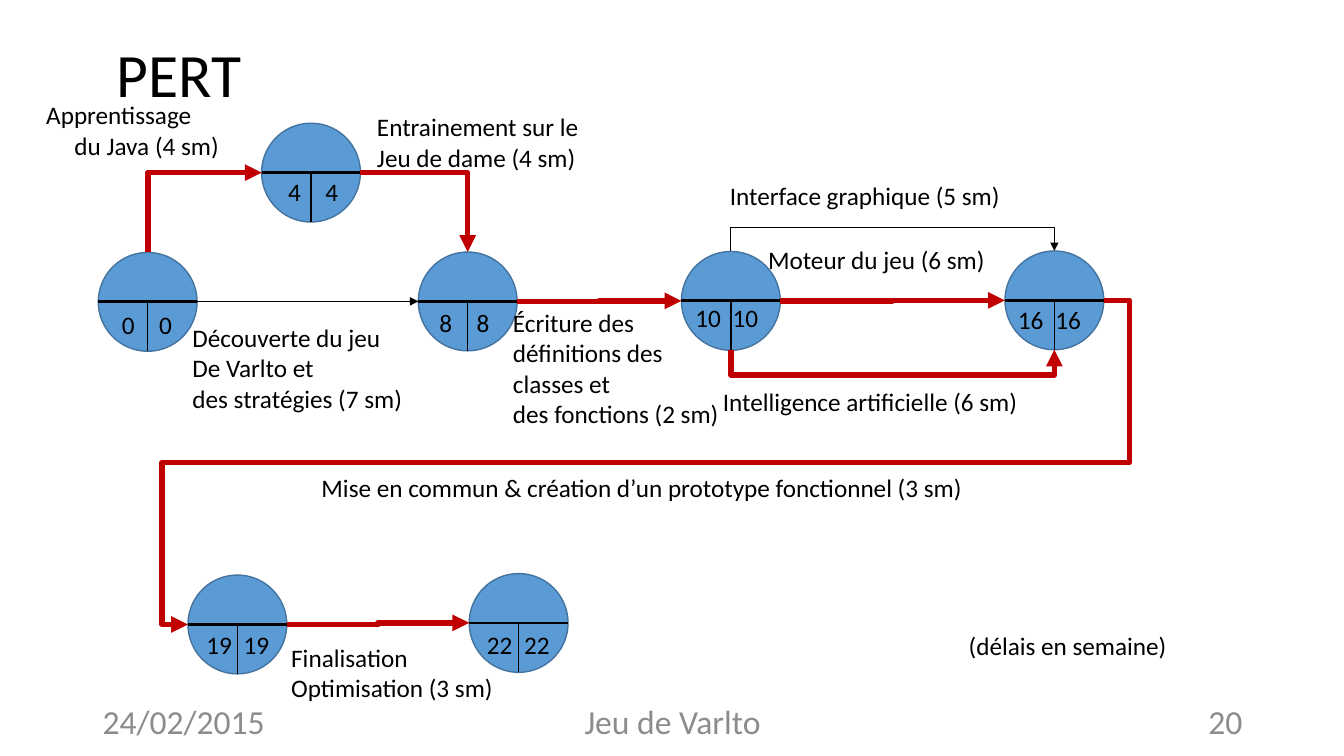
from dataclasses import dataclass
from enum import IntEnum

from lxml import etree
from pptx import Presentation
from pptx import util as u
from pptx.dml.color import RGBColor
from pptx.enum import shapes, text
from pptx.oxml import ns

WIDTH, HEIGHT = u.Inches(13.33), u.Inches(7.5)
FONT = "Calibri"
BLACK, GREY, RED = "000000", "8C8C8C", "C00000"
BLUE, BLUE_EDGE = "5B9BD5", "43739E"
DIAMETER = u.Inches(0.98)
DETOUR = u.Inches(0.25)
DATE_GAP = u.Inches(0.37)
LEFT, CENTER, RIGHT = text.PP_ALIGN.LEFT, text.PP_ALIGN.CENTER, text.PP_ALIGN.RIGHT


class Side(IntEnum):
    """Connection sites of an ellipse."""
    TOP = 0
    LEFT = 2
    BOTTOM = 4
    RIGHT = 6


@dataclass
class Step:
    """Circle centre and offset of its dates, in percent of the slide."""
    week: str
    x: float
    y: float
    dates_dx: float
    dates_dy: float


@dataclass
class Link:
    """Route between two steps; detour is 1 to pass right or below, -1 above."""
    start: str
    start_side: Side
    end: str
    end_side: Side
    color: str = RED
    weight: float = 4
    detour: int = 0


@dataclass
class Label:
    """Text box, in percent of the slide."""
    lines: list[str]
    x: float
    y: float
    width: float
    height: float = 5.33
    size: float = 18
    color: str = BLACK
    align: text.PP_ALIGN = LEFT
    anchor: text.MSO_ANCHOR = text.MSO_ANCHOR.TOP


STEPS = [
    Step("0", 10.99, 39.93, -2.66, 0.33),
    Step("4", 23.14, 22.83, -2.44, -0.13),
    Step("8", 34.8, 39.87, -2.85, 0.13),
    Step("10", 54.38, 39.8, -3.38, -0.45),
    Step("16", 78.45, 39.73, -3.45, -0.13),
    Step("19", 17.66, 82.6, -3.04, 0),
    Step("22", 38.59, 82.4, -3.11, 0.13),
]
LINKS = [
    Link("0", Side.TOP, "4", Side.LEFT),
    Link("4", Side.RIGHT, "8", Side.TOP),
    Link("0", Side.RIGHT, "8", Side.LEFT, BLACK, 1),
    Link("8", Side.RIGHT, "10", Side.LEFT),
    Link("10", Side.TOP, "16", Side.TOP, BLACK, 0.5, -1),
    Link("10", Side.BOTTOM, "16", Side.BOTTOM, detour=1),
    Link("10", Side.RIGHT, "16", Side.LEFT),
    Link("16", Side.RIGHT, "19", Side.LEFT, detour=1),
    Link("19", Side.RIGHT, "22", Side.LEFT),
]
JAVA = Label(["Apprentissage", "du Java (4 sm)"], 2.7, 12.53, 17.7, 9.47)
TASKS = [
    Label(["Entrainement sur le", "Jeu de dame (4 sm)"], 27.31, 14.13, 16.65, 9.47),
    Label(["Découverte du jeu", "De Varlto et", "des stratégies (7 sm)"], 13.58, 42, 17.8, 13.47),
    Label(["Écriture des", "définitions des", "classes et", "des fonctions (2 sm)"],
          37.43, 40, 19.65, 17.47),
    Label(["Interface graphique (5 sm)"], 53.56, 23.2, 26.03),
    Label(["Moteur du jeu (6 sm)"], 56.41, 31.6, 20.41),
    Label(["Intelligence artificielle (6 sm)"], 53.04, 50.4, 27.46),
    Label(["Mise en commun & création d’un prototype fonctionnel (3 sm)"], 23.18, 61.87, 60.84),
    Label(["Finalisation", "Optimisation (3 sm)"], 20.93, 84.27, 19.05, 9.47),
    Label(["(délais en semaine)"], 71.34, 82.67, 19.5),
]
FOOTERS = [
    Label([words], x, 92.67, width, 5.33, 24, GREY, align, text.MSO_ANCHOR.MIDDLE)
    for words, x, width, align in [
        ("24/02/2015", 6.9, 22.51, LEFT),
        ("Jeu de Varlto", 33.16, 33.76, CENTER),
        ("20", 70.67, 22.51, RIGHT),
    ]
]


def across(percent: float) -> int:
    return round(WIDTH * percent / 100)


def down(percent: float) -> int:
    return round(HEIGHT * percent / 100)


def rgb(color: str) -> RGBColor:
    return RGBColor.from_string(color)


def add_child(parent, tag: str, **attributes):
    return etree.SubElement(parent, ns.qn(tag), attributes)


def format_text(para, size: float, color: str) -> None:
    for span in para.runs:
        span.font.name, span.font.size = FONT, u.Pt(size)
        span.font.color.rgb = rgb(color)


def add_label(page, label: Label):
    box = page.shapes.add_textbox(across(label.x), down(label.y),
                                  across(label.width), down(label.height))
    frame = box.text_frame
    frame.word_wrap, frame.vertical_anchor = True, label.anchor
    frame.text = "\n".join(label.lines)
    for para in frame.paragraphs:
        para.alignment = label.align
        format_text(para, label.size, label.color)
    return box


def style_line(line, color: str, weight: float) -> None:
    line.color.rgb, line.width = rgb(color), u.Pt(weight)


def add_line(page, kind, ends: tuple[int, int, int, int], color: str, weight: float):
    line = page.shapes.add_connector(kind, *ends)
    style_line(line.line, color, weight)
    add_child(line._element.spPr, "a:effectLst")
    return line


def add_step(page, step: Step):
    """Draw a circle with its cross lines and return it."""
    x, y, radius = across(step.x), down(step.y), DIAMETER // 2
    circle = page.shapes.add_shape(shapes.MSO_SHAPE.OVAL, x - radius, y - radius,
                                   DIAMETER, DIAMETER)
    circle.shadow.inherit = False
    circle.fill.solid()
    circle.fill.fore_color.rgb = rgb(BLUE)
    style_line(circle.line, BLUE_EDGE, 1)
    straight = shapes.MSO_CONNECTOR.STRAIGHT
    add_line(page, straight, (x - radius, y, x + radius, y), BLACK, 2)
    add_line(page, straight, (x, y + radius, x, y), BLACK, 1)
    return circle


def add_dates(page, step: Step) -> None:
    box = add_label(page, Label([f"{step.week}\t{step.week}"], step.x + step.dates_dx,
                                step.y + step.dates_dy, 6.75))
    tabs = add_child(box.text_frame.paragraphs[0]._p.get_or_add_pPr(), "a:tabLst")
    add_child(tabs, "a:tab", pos=str(DATE_GAP), algn="l")


def site(circle, side: Side) -> tuple[int, int]:
    half = DIAMETER // 2
    dx, dy = {Side.TOP: (0, -half), Side.LEFT: (-half, 0),
              Side.BOTTOM: (0, half), Side.RIGHT: (half, 0)}[side]
    return circle.left + half + dx, circle.top + half + dy


def add_link(page, link: Link, circles: dict) -> None:
    """Draw an elbow arrow, turned a quarter when it leaves vertically."""
    start, end = circles[link.start], circles[link.end]
    (x1, y1), (x2, y2) = site(start, link.start_side), site(end, link.end_side)
    dx, dy = x2 - x1, y2 - y1
    upright = (Side.TOP, Side.BOTTOM)
    turned = link.start_side in upright
    arrow = add_line(page, shapes.MSO_CONNECTOR.ELBOW, (x1, y1, x2, y2),
                     link.color, link.weight)
    add_child(arrow.line._get_or_add_ln(), "a:tailEnd", type="triangle")
    ties = arrow._element.nvCxnSpPr.cNvCxnSpPr
    add_child(ties, "a:stCxn", id=str(start.shape_id), idx=str(int(link.start_side)))
    add_child(ties, "a:endCxn", id=str(end.shape_id), idx=str(int(link.end_side)))

    if turned:
        arrow.width, arrow.height = abs(dy), abs(dx)
        arrow.left = (x1 + x2 - abs(dy)) // 2
        arrow.top = (y1 + y2 - abs(dx)) // 2
        frame = arrow._element.spPr.find(ns.qn("a:xfrm"))
        frame.set("rot", "5400000")
        frame.set("flipH", str(int(dy < 0)))
        frame.set("flipV", str(int(dx > 0)))

    bends, adjusts = 3, []
    if turned != (link.end_side in upright):
        bends = 2
    elif link.detour:
        share = link.detour * DETOUR / (dy if turned else dx)
        bends, adjusts = (3, [share]) if turned else (5, [share, 0.5, 1 - share])
    shape = arrow._element.spPr.find(ns.qn("a:prstGeom"))
    shape.set("prst", f"bentConnector{bends}")
    for number, share in enumerate(adjusts, 1):
        name = f"adj{number}" if bends > 2 else "adj"
        add_child(shape.find(ns.qn("a:avLst")), "a:gd", name=name,
                  fmla=f"val {round(share * 100000)}")


def add_title(page) -> None:
    title = page.shapes.title
    title.left, title.top = across(7.95), 0
    title.width, title.height = across(77.19), down(20.4)
    title.text_frame.text = "PERT"
    title.text_frame.vertical_anchor = text.MSO_ANCHOR.MIDDLE
    para = title.text_frame.paragraphs[0]
    para.alignment, para.line_spacing = LEFT, 0.9
    format_text(para, 44, BLACK)


def main() -> None:
    deck = Presentation()
    deck.slide_width, deck.slide_height = WIDTH, HEIGHT
    page = deck.slides.add_slide(deck.slide_layouts[5])
    add_title(page)
    circles = {step.week: add_step(page, step) for step in STEPS}
    for link in LINKS:
        add_link(page, link, circles)
    java = add_label(page, JAVA)
    java.text_frame.paragraphs[1]._p.get_or_add_pPr().set("marL", str(u.Inches(0.28)))
    for label in TASKS + FOOTERS:
        add_label(page, label)
    for step in STEPS:
        add_dates(page, step)
    deck.save("out.pptx")


if __name__ == "__main__":
    main()
